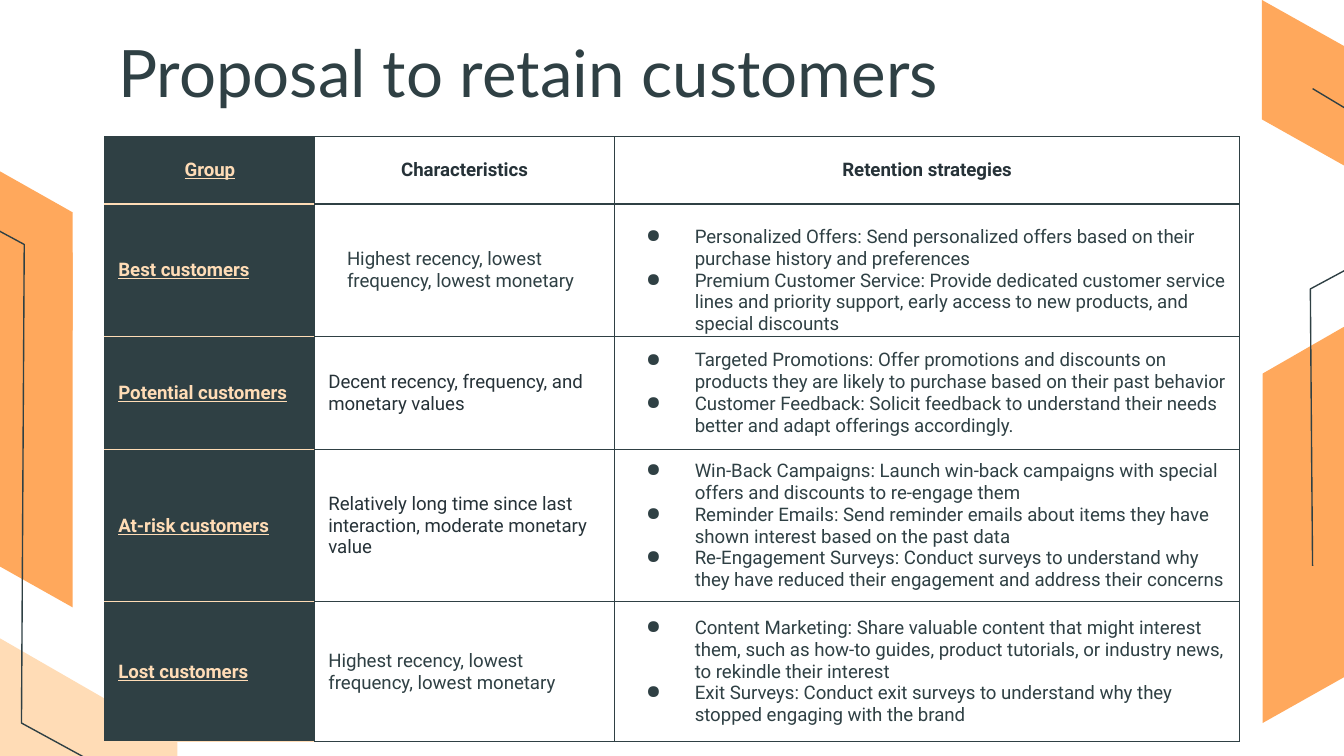
import pptx
import pptx.util
import pptx.dml.color
import pptx.enum.text
import pptx.oxml.ns
import lxml.etree

Pt = pptx.util.Pt
ALIGN = pptx.enum.text.PP_ALIGN
ANCHOR = pptx.enum.text.MSO_ANCHOR

COLORS = {"slate": "2F4044", "ink": "263238", "orange": "FFA85C",
          "peach": "FFDCB6", "white": "FFFFFF"}

TITLE = "Proposal to retain customers"
HEADERS = ["Group", "Characteristics", "Retention strategies"]
GROUPS = [
    ("Best customers", "Highest recency, lowest frequency, lowest monetary", "slate", [
        "Personalized Offers: Send personalized offers based on their purchase history and preferences",
        "Premium Customer Service: Provide dedicated customer service lines and priority support, "
        "early access to new products, and special discounts"]),
    ("Potential customers", "Decent recency, frequency, and monetary values", "ink", [
        "Targeted Promotions: Offer promotions and discounts on products they are likely to purchase "
        "based on their past behavior",
        "Customer Feedback: Solicit feedback to understand their needs better and adapt offerings accordingly."]),
    ("At-risk customers", "Relatively long time since last interaction, moderate monetary value", "ink", [
        "Win-Back Campaigns: Launch win-back campaigns with special offers and discounts to re-engage them",
        "Reminder Emails: Send reminder emails about items they have shown interest based on the past data",
        "Re-Engagement Surveys: Conduct surveys to understand why they have reduced their engagement "
        "and address their concerns"]),
    ("Lost customers", "Highest recency, lowest frequency, lowest monetary", "slate", [
        "Content Marketing: Share valuable content that might interest them, such as how-to guides, "
        "product tutorials, or industry news, to rekindle their interest",
        "Exit Surveys: Conduct exit surveys to understand why they stopped engaging with the brand"]),
]
COLUMN_WIDTHS = [112.5, 160.3, 335.2]
ROW_HEIGHTS = [36, 69.8, 60.5, 81.5, 75]

BANDS = [
    ("orange", [(732.5, 31.7), (676, 0), (676, 64), (732.5, 95.7)]),
    ("peach", [(-18.7, 396.7), (-18.7, 331.2), (95, 396.7), (95, 461.5)]),
    ("orange", [(38.9, 325.4), (38.9, 135.4), (-17.3, 103.7), (-17.3, 293.8)]),
    ("orange", [(-73.4, 113.8), (-73.4, 50.4), (38.9, 113.8), (38.9, 177.1)]),
    ("orange", [(676.4, 387.4), (676.4, 200.2), (731.5, 168.5), (731.5, 356.4)]),
]
OUTLINES = [
    [(756, 78.5), (746, 73.4), (738, 68.4), (703.2, 47.5)],
    [(160.6, 468.7), (11.5, 387.4), (13, 131), (-121.7, 58.3)],
    [(703.2, 303.1), (702.7, 243.4), (702, 154.8), (834.5, 83.5)],
]


def color(name):
    return pptx.dml.color.RGBColor.from_string(COLORS[name])


def add_outline(slide, points, closed):
    corners = [(Pt(x), Pt(y)) for x, y in points]
    builder = slide.shapes.build_freeform(*corners[0], scale=1.0)
    builder.add_line_segments(corners[1:], close=closed)
    shape = builder.convert_to_shape()
    shape.shadow.inherit = False
    return shape


def add_decorations(slide):
    for name, points in BANDS:
        band = add_outline(slide, points, True)
        band.fill.solid()
        band.fill.fore_color.rgb = color(name)
        band.line.fill.background()
    for points in OUTLINES:
        outline = add_outline(slide, points, False)
        outline.fill.background()
        outline.line.color.rgb = color("slate")
        outline.line.width = Pt(0.75)


def style(para, size, face, name, bold=False, underline=False):
    font = para.font
    font.size, font.name = Pt(size), face
    font.bold, font.underline = bold, underline
    font.color.rgb = color(name)


def add_title(slide):
    box = slide.shapes.add_textbox(Pt(56.2), Pt(17.3), Pt(607), Pt(41))
    frame = box.text_frame
    frame.word_wrap = True
    frame.margin_top = 0
    frame.margin_bottom = Pt(7.2)
    frame.text = TITLE
    style(frame.paragraphs[0], 35, "Lato", "slate")


def set_borders(cell, top, bottom):
    properties = cell._tc.get_or_add_tcPr()
    sides = [("lnL", "slate"), ("lnR", "slate"), ("lnT", top), ("lnB", bottom)]
    for index, (tag, name) in enumerate(sides):
        line = lxml.etree.Element(pptx.oxml.ns.qn("a:" + tag), w=str(Pt(0.75)))
        fill = lxml.etree.SubElement(line, pptx.oxml.ns.qn("a:solidFill"))
        lxml.etree.SubElement(fill, pptx.oxml.ns.qn("a:srgbClr"), val=COLORS[name])
        properties.insert(index, line)


def indent(para, left, first=0):
    properties = para._p.get_or_add_pPr()
    properties.set("marL", str(Pt(left)))
    properties.set("indent", str(Pt(first)))
    return properties


def add_bullet(para):
    properties = indent(para, 36, -26)
    tint = lxml.etree.Element(pptx.oxml.ns.qn("a:buClr"))
    lxml.etree.SubElement(tint, pptx.oxml.ns.qn("a:srgbClr"), val=COLORS["slate"])
    mark = lxml.etree.Element(pptx.oxml.ns.qn("a:buChar"), char="●")
    properties.insert(0, tint)
    properties.insert(1, mark)


def fill_cell(cell, lines, name, **emphasis):
    cell.text = "\n".join(lines)
    for para in cell.text_frame.paragraphs:
        style(para, 10, "Roboto", name, **emphasis)
    return cell.text_frame.paragraphs


def add_strategy_table(slide):
    frame = slide.shapes.add_table(len(ROW_HEIGHTS), len(COLUMN_WIDTHS), Pt(56.2), Pt(73.3),
                                   Pt(sum(COLUMN_WIDTHS)), Pt(sum(ROW_HEIGHTS)))
    table = frame.table
    table.first_row = table.horz_banding = False
    for column, width in zip(table.columns, COLUMN_WIDTHS):
        column.width = Pt(width)
    for number, (row, height) in enumerate(zip(table.rows, ROW_HEIGHTS)):
        row.height = Pt(height)
        for position, cell in enumerate(row.cells):
            is_group = position == 0
            cell.fill.solid()
            cell.fill.fore_color.rgb = color("slate" if is_group else "white")
            cell.vertical_anchor = ANCHOR.MIDDLE
            cell.margin_left = cell.margin_right = Pt(7.2)
            cell.margin_top = cell.margin_bottom = 0
            divider = "peach" if is_group else "slate"
            set_borders(cell, divider if number else "slate", divider)

    for position, header in enumerate(HEADERS):
        is_group = position == 0
        paras = fill_cell(table.cell(0, position), [header], "peach" if is_group else "ink",
                          bold=True, underline=is_group)
        paras[0].alignment = ALIGN.CENTER

    for number, (group, traits, traits_color, strategies) in enumerate(GROUPS, 1):
        fill_cell(table.cell(number, 0), [group], "peach", bold=True, underline=True)
        fill_cell(table.cell(number, 1), [traits], traits_color)
        for para in fill_cell(table.cell(number, 2), strategies, "slate"):
            add_bullet(para)

    indent(table.cell(1, 1).text_frame.paragraphs[0], 10)
    table.cell(1, 2).margin_top = Pt(11)


def main():
    deck = pptx.Presentation()
    deck.slide_width, deck.slide_height = Pt(720), Pt(405)
    slide = deck.slides.add_slide(deck.slide_layouts[6])
    add_decorations(slide)
    add_title(slide)
    add_strategy_table(slide)
    deck.save("out.pptx")


if __name__ == "__main__":
    main()
